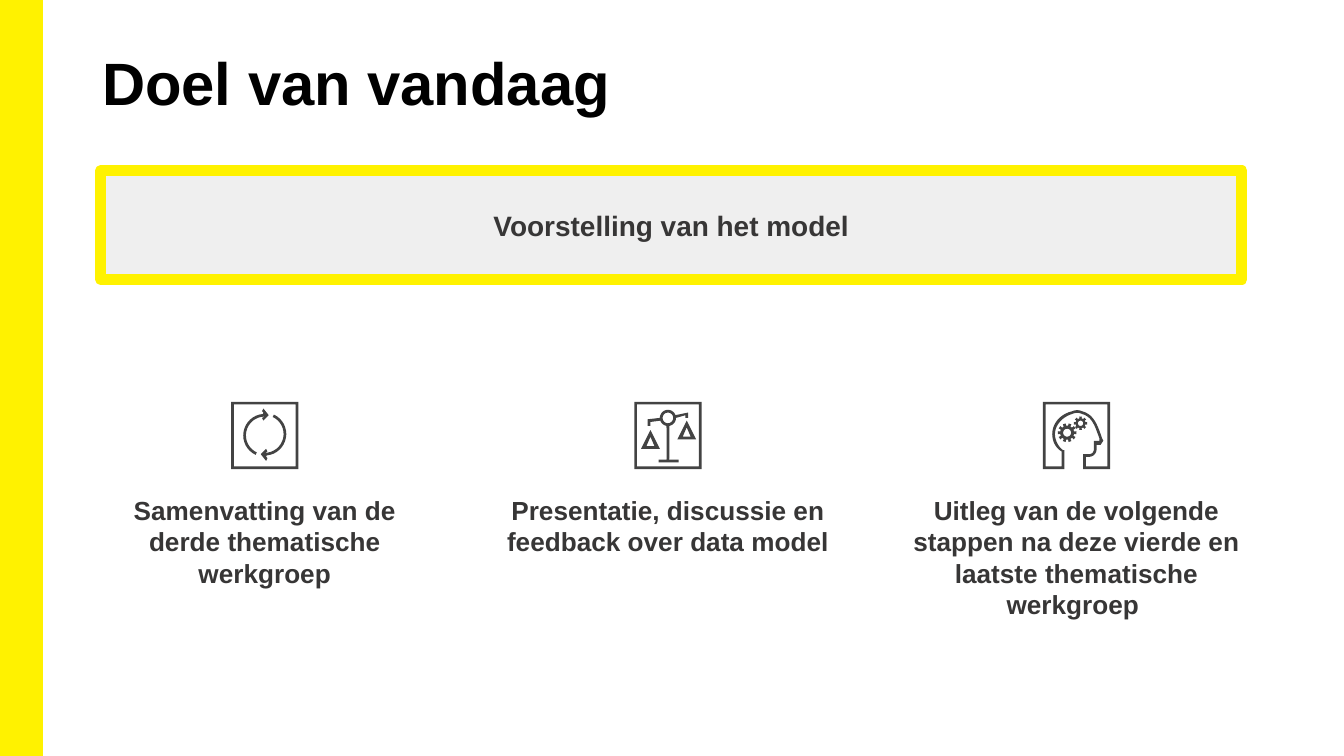
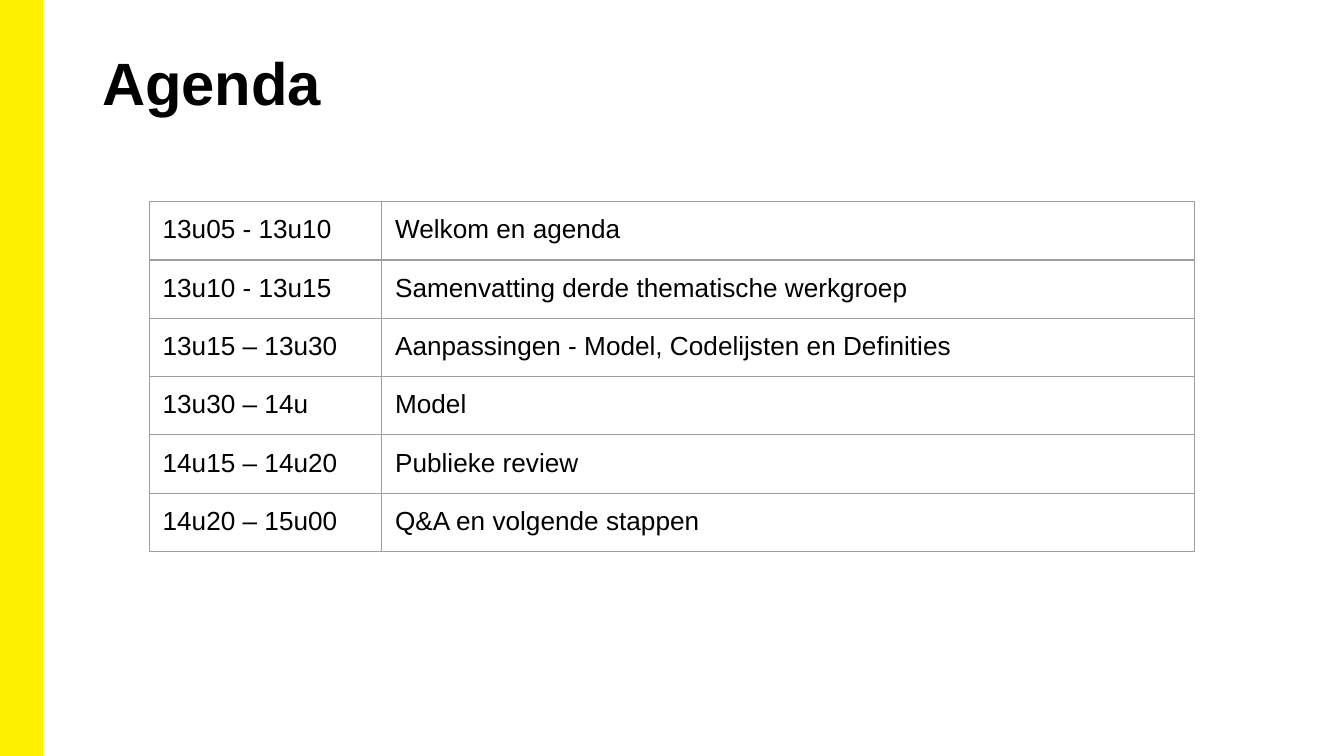
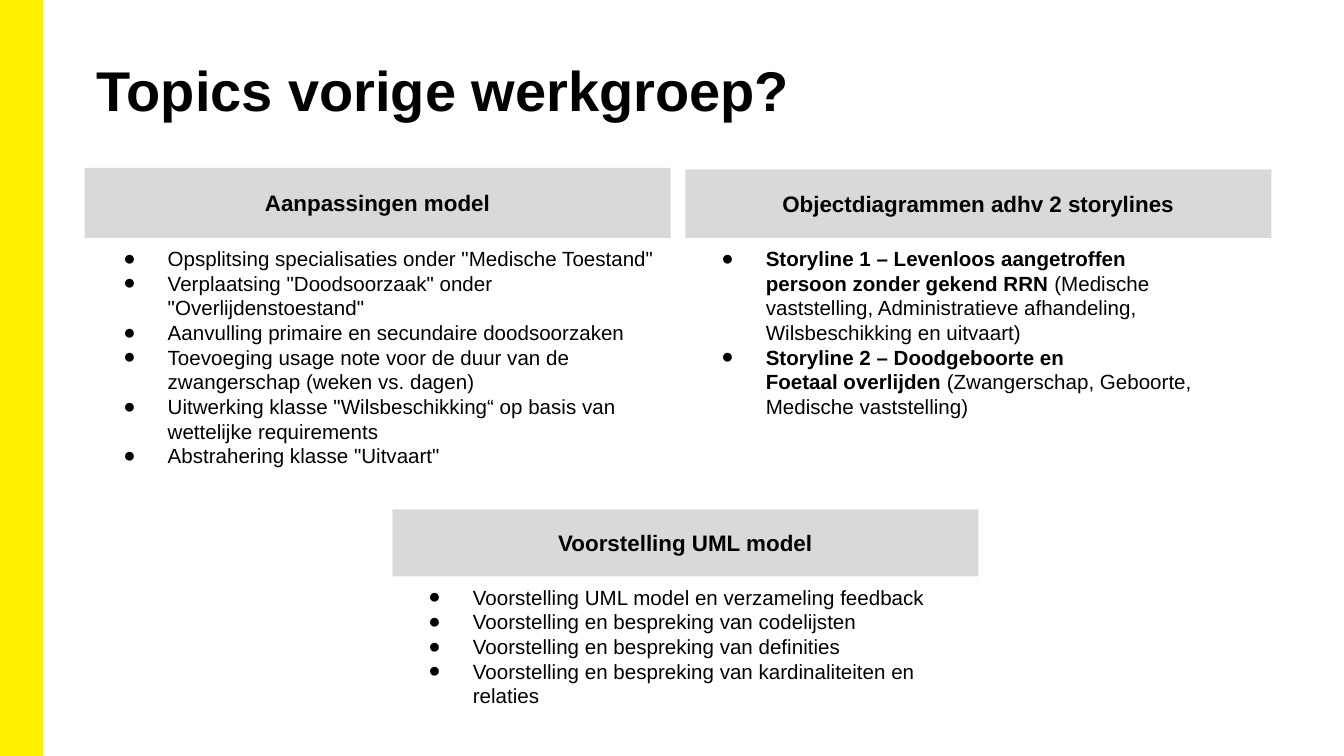
from math import cos, radians, sin

from lxml.etree import SubElement
from pptx import Presentation
from pptx.dml.color import RGBColor
from pptx.enum.shapes import MSO_SHAPE
from pptx.enum.text import MSO_ANCHOR, MSO_AUTO_SIZE, PP_ALIGN
from pptx.oxml.ns import qn
from pptx.util import Inches, Pt

SLIDE_W = 10
SLIDE_H = SLIDE_W * 9 / 16
FONT = "Arial"
NO_BREAK_SPACE = chr(160)  # written as ~ in the wording below
YELLOW, BLACK, DARK = "FFF200", "000000", "373636"
ICON_GREY, PALE_GREY, HEADER_GREY, GRID_GREY = "434343", "EFEFEF", "D9D9D9", "9E9E9E"


def rgb(color):
    return RGBColor.from_string(color)


def put_text(frame, paragraphs, size=14, bold=False, color=BLACK, align=PP_ALIGN.LEFT,
             anchor=MSO_ANCHOR.TOP, insets=(0.1, 0.05, 0.1, 0.05), bullet=None):
    """Fill a frame; a paragraph is a string or a list of (text, bold) runs."""
    if insets:
        frame.word_wrap = True
        frame.vertical_anchor = anchor
        (frame.margin_left, frame.margin_top,
         frame.margin_right, frame.margin_bottom) = map(Inches, insets)
    for index, content in enumerate(paragraphs):
        paragraph = frame.add_paragraph() if index else frame.paragraphs[0]
        paragraph.alignment = align
        if bullet:
            add_bullet(paragraph, bullet, color)
            paragraph.font.size = Pt(size)
        for words, weight in [(content, bold)] if isinstance(content, str) else content:
            run = paragraph.add_run()
            run.text = words.replace("~", NO_BREAK_SPACE)
            run.font.name, run.font.size, run.font.bold = FONT, Pt(size), weight
            run.font.color.rgb = rgb(color)


def add_bullet(paragraph, symbol, color):
    properties = paragraph._p.get_or_add_pPr()
    properties.set("marL", str(Inches(0.5)))
    properties.set("indent", str(Inches(-0.33)))
    bullet_color = SubElement(properties, qn("a:buClr"))
    SubElement(bullet_color, qn("a:srgbClr")).set("val", color)
    SubElement(properties, qn("a:buFont")).set("typeface", FONT)
    SubElement(properties, qn("a:buChar")).set("char", symbol)


def add_text(slide, box, paragraphs, **text_format):
    frame = slide.shapes.add_textbox(*map(Inches, box)).text_frame
    put_text(frame, paragraphs, **text_format)
    return frame


def paint(shape, fill, line=None, line_width=1):
    shape.shadow.inherit = False
    shape.fill.solid()
    shape.fill.fore_color.rgb = rgb(fill)
    if line:
        shape.line.color.rgb = rgb(line)
        shape.line.width = Pt(line_width)
    else:
        shape.line.fill.background()


def add_panel(slide, box, fill, line=None, line_width=1):
    panel = slide.shapes.add_shape(MSO_SHAPE.RECTANGLE, *map(Inches, box))
    paint(panel, fill, line, line_width)
    return panel


def add_titled_slide(prs, title, box=(0.69, 0.3, 8.62, 0.81), size=32):
    slide = prs.slides.add_slide(prs.slide_layouts[6])
    add_panel(slide, (0, 0, 0.31, SLIDE_H), YELLOW, YELLOW)
    add_text(slide, box, [title], size=size, bold=True, insets=(0.07, 0.04, 0.07, 0.04))
    return slide


# Icon outlines: points in inches inside a square of 0.5

def arc(x, y, radius, start, end, steps=16):
    angles = [radians(start + (end - start) * i / steps) for i in range(steps + 1)]
    return [(x + radius * cos(a), y + radius * sin(a)) for a in angles]


def curve(start, control_1, control_2, end, steps=10):
    """Points of a cubic Bézier curve."""
    points = []
    for t in (i / steps for i in range(steps + 1)):
        weights = ((1 - t) ** 3, 3 * t * (1 - t) ** 2, 3 * t ** 2 * (1 - t), t ** 3)
        corners = (start, control_1, control_2, end)
        points.append(tuple(sum(w * c[axis] for w, c in zip(weights, corners))
                            for axis in (0, 1)))
    return points


def square(low, high):
    return [(low, low), (low, high), (high, high), (high, low)]


def gear(x, y, radius, hole, teeth):
    """Outline and hole of a cogwheel."""
    pitch = 360 / teeth
    outline = []
    for tooth in range(teeth):
        for part, reach in ((-0.25, 1), (0.25, 1), (0.27, 0.75), (0.73, 0.75)):
            outline += arc(x, y, radius * reach, (tooth + part) * pitch, 0, 1)[:1]
    return [outline, arc(x, y, hole, 0, 360)]


def cycle_icon():
    left_arrow = (arc(0.25, 0.25, 0.14, 115, 270)
                  + [(0.23, 0.12), (0.24, 0.14), (0.28, 0.1), (0.24, 0.05),
                     (0.23, 0.07), (0.24, 0.08)]
                  + arc(0.25, 0.25, 0.16, 265, 115))
    right_arrow = [(0.5 - x, 0.49 - y) for x, y in left_arrow]
    return [[square(0, 0.5), square(0.02, 0.48)], [left_arrow], [right_arrow]]


def scales_icon():
    pan = [[(0.12, 0.21), (0.05, 0.35), (0.19, 0.35)],
           [(0.12, 0.26), (0.15, 0.33), (0.09, 0.33)]]
    raised_pan = [[(x + 0.27, y - 0.07) for x, y in outline] for outline in pan]
    beam = ([(0.12, 0.18), (0.12, 0.15)] + arc(0.25, 0.12, 0.06, 160, 100)
            + [(0.24, 0.43), (0.18, 0.43), (0.18, 0.45),
               (0.33, 0.45), (0.33, 0.43), (0.26, 0.43)]
            + arc(0.25, 0.12, 0.06, 80, 0)
            + [(0.38, 0.1), (0.38, 0.12), (0.4, 0.12), (0.4, 0.08)]
            + arc(0.25, 0.12, 0.06, -20, -180) + [(0.1, 0.13), (0.1, 0.18)])
    pivot = arc(0.25, 0.12, 0.04, 0, 360)
    return [[square(0, 0.5), square(0.02, 0.48), *pan, *raised_pan, beam, pivot]]


def thinking_icon():
    outside = ([(0, 0), (0, 0.5), (0.16, 0.5), (0.16, 0.36)]
               + curve((0.15, 0.36), (0.11, 0.33), (0.09, 0.28), (0.09, 0.24))
               + curve((0.09, 0.24), (0.09, 0.17), (0.15, 0.11), (0.22, 0.09))
               + curve((0.22, 0.09), (0.24, 0.08), (0.27, 0.08), (0.29, 0.09))
               + curve((0.29, 0.09), (0.37, 0.11), (0.39, 0.19), (0.42, 0.27))
               + [(0.42, 0.29), (0.38, 0.29), (0.38, 0.35)]
               + curve((0.38, 0.35), (0.38, 0.38), (0.36, 0.39), (0.34, 0.39))
               + [(0.3, 0.39), (0.3, 0.5), (0.5, 0.5), (0.5, 0)])
    inside = ([(0.48, 0.48), (0.32, 0.48), (0.32, 0.41), (0.34, 0.41)]
              + curve((0.34, 0.41), (0.37, 0.41), (0.4, 0.39), (0.4, 0.35))
              + [(0.4, 0.32), (0.43, 0.32), (0.45, 0.29)]
              + curve((0.44, 0.27), (0.41, 0.18), (0.38, 0.09), (0.29, 0.07))
              + curve((0.29, 0.07), (0.27, 0.06), (0.24, 0.06), (0.22, 0.07))
              + curve((0.22, 0.07), (0.13, 0.09), (0.07, 0.16), (0.07, 0.24))
              + curve((0.07, 0.24), (0.07, 0.29), (0.09, 0.34), (0.14, 0.37))
              + [(0.14, 0.48), (0.02, 0.48), (0.02, 0.02), (0.48, 0.02)])
    return [[outside, inside], gear(0.18, 0.23, 0.07, 0.03, 10), gear(0.28, 0.16, 0.05, 0.02, 8)]


def draw_icon(slide, left, top, pieces):
    for outlines in pieces:
        placed = [[(Inches(left + x), Inches(top + y)) for x, y in outline]
                  for outline in outlines]
        builder = slide.shapes.build_freeform(*placed[0][0])
        builder.add_line_segments(placed[0][1:], close=True)
        for hole in placed[1:]:
            builder.move_to(*hole[0])
            builder.add_line_segments(hole[1:], close=True)
        paint(builder.convert_to_shape(), ICON_GREY)


def add_goal(slide, box, icon_offset, icon, goal):
    left, top, width, height = box
    draw_icon(slide, left + icon_offset, top, icon)
    add_text(slide, (left, top + 0.64, width, height - 0.64), [goal],
             bold=True, color=DARK, align=PP_ALIGN.CENTER)


def build_goals(prs):
    slide = add_titled_slide(prs, "Doel van vandaag")
    main_goal = add_panel(slide, (0.75, 1.27, 8.49, 0.81), PALE_GREY, YELLOW, 6)
    put_text(main_goal.text_frame, ["Voorstelling van het model"], size=15, bold=True,
             color=DARK, align=PP_ALIGN.CENTER, anchor=MSO_ANCHOR.MIDDLE)
    goals = [
        (0.61, 2.72, 1.11, cycle_icon(), "Samenvatting van de derde thematische werkgroep"),
        (3.57, 2.8, 1.15, scales_icon(), "Presentatie, discussie en feedback~over~data model"),
        (6.61, 2.8, 1.15, thinking_icon(),
         "Uitleg van de volgende stappen na deze vierde en laatste thematische werkgroep~"),
    ]
    for left, width, icon_offset, icon, goal in goals:
        add_goal(slide, (left, 2.99, width, 1.92), icon_offset, icon, goal)


def border_cell(cell, color, width):
    properties = cell._tc.get_or_add_tcPr()
    for position, side in enumerate(("a:lnL", "a:lnR", "a:lnT", "a:lnB")):
        edge = properties.makeelement(qn(side), {"w": str(Pt(width))})
        fill = SubElement(edge, qn("a:solidFill"))
        SubElement(fill, qn("a:srgbClr")).set("val", color)
        properties.insert(position, edge)


def add_schedule(slide, box, column_widths, entries):
    schedule = slide.shapes.add_table(len(entries), len(column_widths),
                                      *map(Inches, box)).table
    schedule.first_row = schedule.horz_banding = False
    for column, width in zip(schedule.columns, column_widths):
        column.width = Inches(width)
    for row, entry in zip(schedule.rows, entries):
        for cell, words in zip(row.cells, entry):
            put_text(cell.text_frame, [words], insets=None)
            cell.margin_left = cell.margin_right = Inches(0.1)
            cell.margin_top = cell.margin_bottom = Inches(0.1)
            cell.fill.background()
            border_cell(cell, GRID_GREY, 0.75)


def build_agenda(prs):
    slide = add_titled_slide(prs, "Agenda")
    add_schedule(slide, (1.11, 1.5, 7.78, 2.58), (1.73, 6.05), [
        ("13u05 - 13u10", "Welkom en agenda"),
        ("13u10 - 13u15", "Samenvatting derde thematische werkgroep"),
        ("13u15 – 13u30", "Aanpassingen - Model, Codelijsten en Definities"),
        ("13u30 – 14u", "Model"),
        ("14u15 – 14u20", "Publieke review"),
        ("14u20 – 15u00", "Q&A en volgende stappen"),
    ])


def add_topic(slide, box, header_height, heading, points, list_shift=0):
    left, top, width, height = box
    header = add_panel(slide, (left, top, width, header_height), HEADER_GREY)
    put_text(header.text_frame, [heading], size=12, bold=True, align=PP_ALIGN.CENTER,
             anchor=MSO_ANCHOR.MIDDLE, insets=(0, 0, 0, 0))
    list_box = (left + list_shift, top + header_height,
                width + 4 * list_shift, height - header_height)
    frame = add_text(slide, list_box, points, size=11, bullet="●",
                     insets=(0.1, 0.06, 0.1, 0.1))
    frame.auto_size = MSO_AUTO_SIZE.SHAPE_TO_FIT_TEXT


def build_topics(prs):
    slide = add_titled_slide(prs, "Topics vorige werkgroep?", (0.65, 0.37, 8.69, 0.81), 30)
    add_topic(slide, (0.63, 1.25, 4.36, 2.35), 0.52, "Aanpassingen model", [
        'Opsplitsing specialisaties onder "Medische Toestand"~',
        'Verplaatsing "Doodsoorzaak" onder "Overlijdenstoestand"~',
        "Aanvulling primaire en secundaire doodsoorzaken~",
        "Toevoeging usage note voor de duur van de zwangerschap (weken vs. dagen)~",
        'Uitwerking klasse "Wilsbeschikking“ op basis van wettelijke requirements~',
        'Abstrahering klasse "Uitvaart"',
    ], list_shift=0.02)
    add_topic(slide, (5.1, 1.26, 4.36, 1.97), 0.51, "Objectdiagrammen adhv 2 storylines", [
        [("Storyline 1 – Levenloos aangetroffen persoon~zonder gekend RRN~", True),
         ("(Medische vaststelling, Administratieve afhandeling, "
          "Wilsbeschikking en uitvaart)", False)],
        [("Storyline 2 – Doodgeboorte en Foetaal~overlijden~", True),
         ("(Zwangerschap, Geboorte, Medische vaststelling)", False)],
    ])
    add_topic(slide, (2.92, 3.79, 4.36, 1.59), 0.5, "Voorstelling UML model", [
        "Voorstelling UML model en verzameling feedback",
        "Voorstelling~en bespreking~van~codelijsten",
        "Voorstelling en bespreking van definities",
        "Voorstelling en bespreking van kardinaliteiten en relaties",
    ])


def main():
    prs = Presentation()
    prs.slide_width, prs.slide_height = Inches(SLIDE_W), Inches(SLIDE_H)
    build_goals(prs)
    build_agenda(prs)
    build_topics(prs)
    prs.save("out.pptx")


if __name__ == "__main__":
    main()
